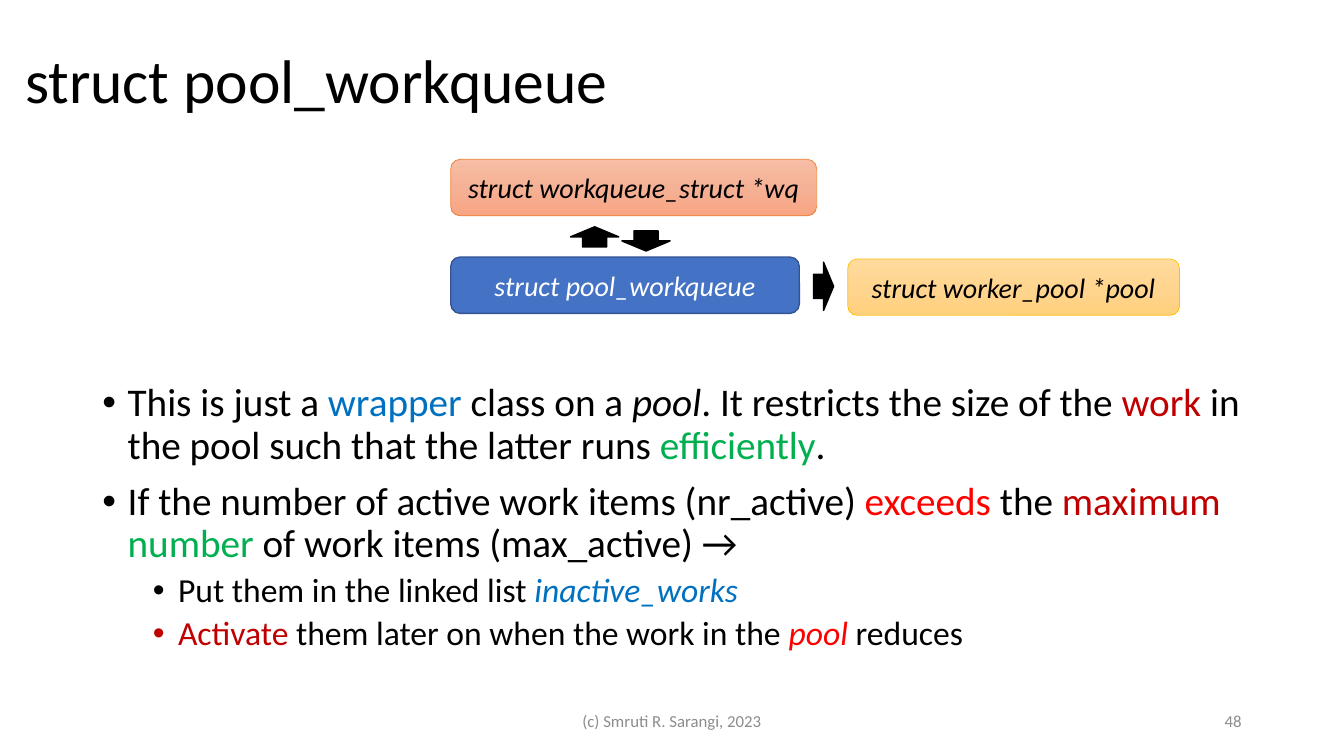
from dataclasses import dataclass
from copy import deepcopy
from typing import Optional

from lxml import etree
from pptx import Presentation
from pptx import util as u
from pptx.dml.color import RGBColor
from pptx.enum import shapes, text
from pptx.oxml.ns import qn


@dataclass(frozen=True)
class Theme:
    font: str = "Calibri"
    black: str = "000000"
    white: str = "FFFFFF"
    grey: str = "8C8C8C"
    blue: str = "0070C0"
    dark_red: str = "C00000"
    red: str = "FF0000"
    green: str = "00B050"
    title: float = 44
    levels: tuple[float, ...] = (28, 24)
    box: float = 20
    footer: float = 12


@dataclass(frozen=True)
class Span:
    text: str
    color: str = Theme.black
    italic: bool = False


@dataclass(frozen=True)
class Bullet:
    level: int
    before: float
    spans: tuple[Span, ...]


@dataclass(frozen=True)
class Box:
    label: str
    left: float
    top: float
    width: float
    fills: tuple[str, ...]
    line: str
    line_width: float
    color: str = Theme.black


@dataclass(frozen=True)
class Arrow:
    left: float
    top: float
    rotation: float


@dataclass(frozen=True)
class Footer:
    text: str
    left: float
    width: float
    align: text.PP_ALIGN


T = Theme()
BOX_HEIGHT = 40.3
ARROW_SIZE = (34.5, 14.4)

BOXES = (
    Box("struct pool_workqueue", 322, 183.6, 249, ("4472C4",), "325491", 1, T.white),
    Box("struct workqueue_struct *wq", 322, 113.8, 261.4,
        ("F7BDA5", "F5B196", "F8A582"), "ED7D31", 0.5),
    Box("struct worker_pool *pool", 605.5, 185, 237,
        ("FFDB9E", "FFD590", "FFD07C"), "FFC000", 0.5),
)
ARROWS = (Arrow(407.5, 162, 0), Arrow(571, 197.3, 90), Arrow(444.2, 164.9, 180))
FOOTERS = (
    Footer("(c) Smruti R. Sarangi, 2023", 318, 324, text.PP_ALIGN.CENTER),
    Footer("48", 678, 216, text.PP_ALIGN.RIGHT),
)
BULLETS = (
    Bullet(0, 0, (
        Span("This is just a "), Span("wrapper", T.blue), Span(" class on a "),
        Span("pool", italic=True), Span(". It restricts the size of the "),
        Span("work", T.dark_red), Span(" in the pool such that the latter runs "),
        Span("efficiently", T.green), Span("."))),
    Bullet(0, 10, (
        Span("If the number of active work items (nr_active) "),
        Span("exceeds", T.red), Span(" the "), Span("maximum ", T.dark_red),
        Span("number", T.green), Span(" of work items (max_active) →"))),
    Bullet(1, 5, (
        Span("Put them in the linked list "), Span("inactive_works", T.blue, True))),
    Bullet(1, 5, (
        Span("Activate", T.dark_red), Span(" them later on when the work in the "),
        Span("pool", T.red, True), Span(" reduces"))),
)


def place(sp, left: float, top: float, width: float, height: float) -> None:
    sp.left, sp.top, sp.width, sp.height = map(u.Pt, (left, top, width, height))


def style(r, size: float, color: str, italic: bool = False) -> None:
    r.font.name = T.font
    r.font.size = u.Pt(size)
    r.font.italic = italic
    r.font.color.rgb = RGBColor.from_string(color)


def set_line(tf, content: str, align: text.PP_ALIGN, size: float, color: str,
             italic: bool = False) -> None:
    tf.text = content
    tf.word_wrap = True
    tf.auto_size = text.MSO_AUTO_SIZE.NONE
    tf.vertical_anchor = text.MSO_ANCHOR.MIDDLE
    p = tf.paragraphs[0]
    p.alignment = align
    style(p.runs[0], size, color, italic)


def set_fill(sp, colors: tuple[str, ...]) -> None:
    if len(colors) == 1:
        sp.fill.solid()
        sp.fill.fore_color.rgb = RGBColor.from_string(colors[0])
        return
    sp.fill.gradient()
    sp.fill.gradient_angle = 270
    stops = sp._element.spPr.find(qn("a:gradFill")).find(qn("a:gsLst"))
    while len(stops) < len(colors):
        stops.append(deepcopy(stops[-1]))
    for i, (stop, color) in enumerate(zip(sp.fill.gradient_stops, colors)):
        stop.position = i / (len(colors) - 1)
        stop.color.rgb = RGBColor.from_string(color)


def set_outline(sp, color: str, width: float) -> None:
    sp.shadow.inherit = False
    sp.line.color.rgb = RGBColor.from_string(color)
    sp.line.width = u.Pt(width)


def add_box(s, box: Box) -> None:
    sp = s.shapes.add_shape(shapes.MSO_SHAPE.ROUNDED_RECTANGLE, 0, 0, 0, 0)
    place(sp, box.left, box.top, box.width, BOX_HEIGHT)
    set_fill(sp, box.fills)
    set_outline(sp, box.line, box.line_width)
    set_line(sp.text_frame, box.label, text.PP_ALIGN.CENTER, T.box, box.color, True)


def add_arrow(s, arrow: Arrow) -> None:
    sp = s.shapes.add_shape(shapes.MSO_SHAPE.UP_ARROW, 0, 0, 0, 0)
    place(sp, arrow.left, arrow.top, *ARROW_SIZE)
    sp.rotation = arrow.rotation
    set_fill(sp, (T.black,))
    set_outline(sp, T.black, 1)


def add_footer(s, footer: Footer) -> None:
    sp = s.shapes.add_textbox(0, 0, 0, 0)
    place(sp, footer.left, 500.5, footer.width, 28.8)
    set_line(sp.text_frame, footer.text, footer.align, T.footer, T.grey)


def add_bullet(p, bullet: Bullet) -> None:
    p.level = bullet.level
    p.line_spacing = 0.9
    p.space_before = u.Pt(bullet.before)
    pPr = p._p.get_or_add_pPr()
    pPr.set("marL", str(u.Pt(18 + 36 * bullet.level)))
    pPr.set("indent", str(u.Pt(-18)))
    etree.SubElement(pPr, qn("a:buFont"), typeface="Arial")
    etree.SubElement(pPr, qn("a:buChar"), char="•")
    for span in bullet.spans:
        r = p.add_run()
        r.text = span.text
        style(r, T.levels[bullet.level], span.color, span.italic)


def main() -> None:
    prs = Presentation()
    prs.slide_width, prs.slide_height = u.Pt(960), u.Pt(540)
    s = prs.slides.add_slide(prs.slide_layouts[1])

    title, body = s.shapes.title, s.placeholders[1]
    place(title, 10.8, 7.2, 828, 104.4)
    set_line(title.text_frame, "struct pool_workqueue", text.PP_ALIGN.LEFT,
             T.title, T.black)
    title.text_frame.paragraphs[0].line_spacing = 0.9

    for footer in FOOTERS:
        add_footer(s, footer)

    place(body, 66, 270, 828, 217)
    tf = body.text_frame
    tf.word_wrap = True
    tf.auto_size = text.MSO_AUTO_SIZE.NONE
    for i, bullet in enumerate(BULLETS):
        add_bullet(tf.add_paragraph() if i else tf.paragraphs[0], bullet)

    for box in BOXES:
        add_box(s, box)
    for arrow in ARROWS:
        add_arrow(s, arrow)
    prs.save("out.pptx")


if __name__ == "__main__":
    main()
